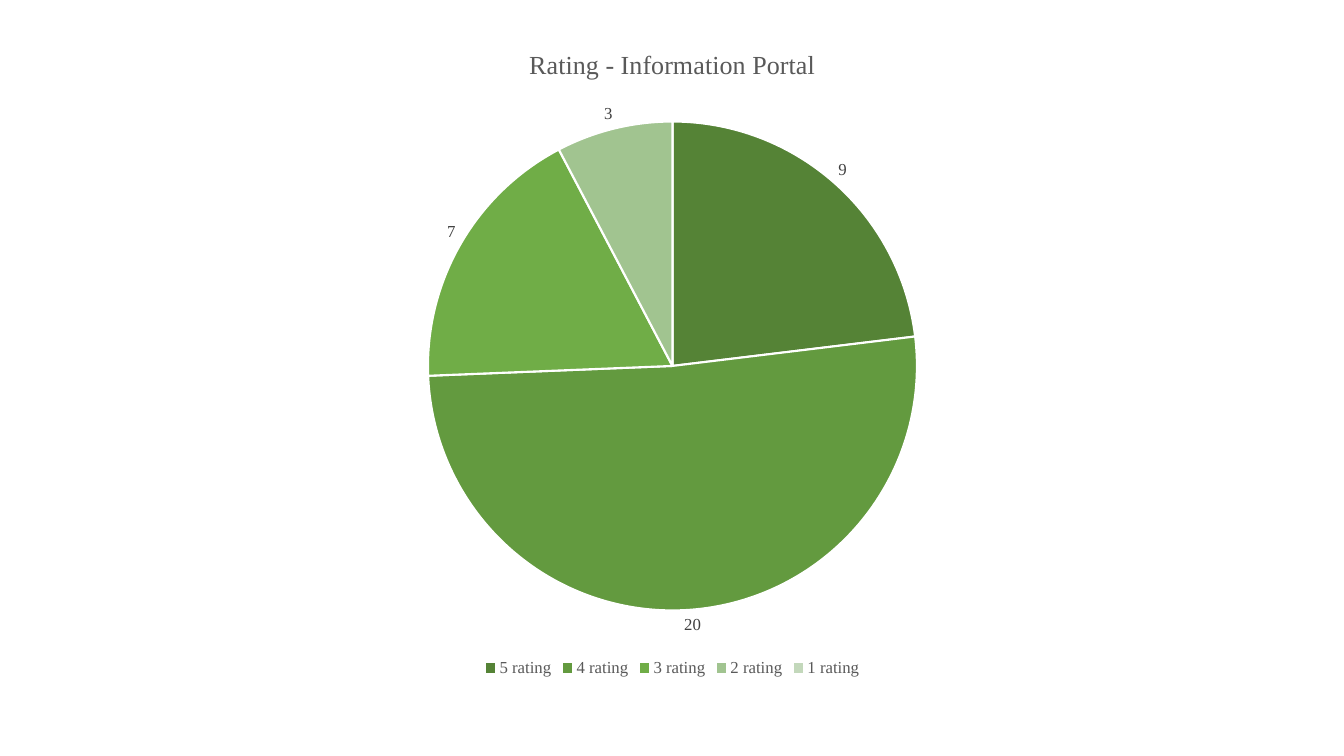
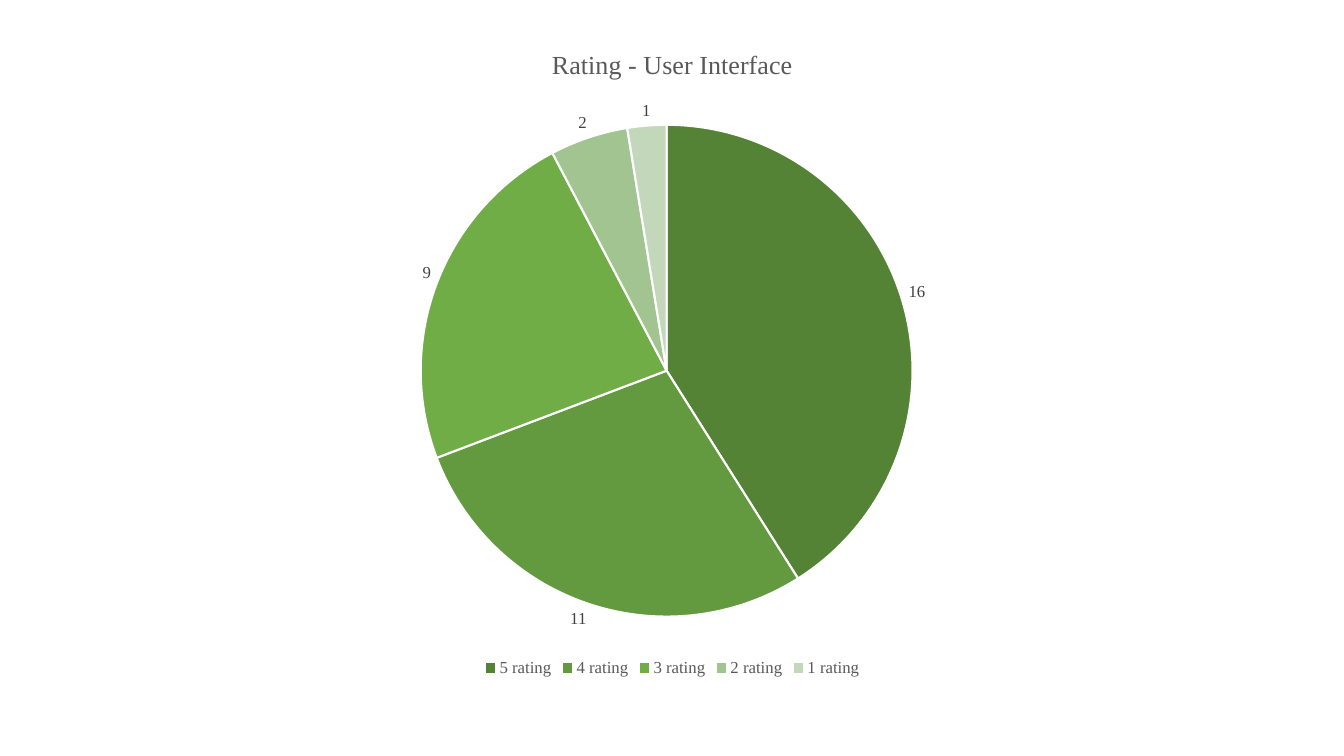
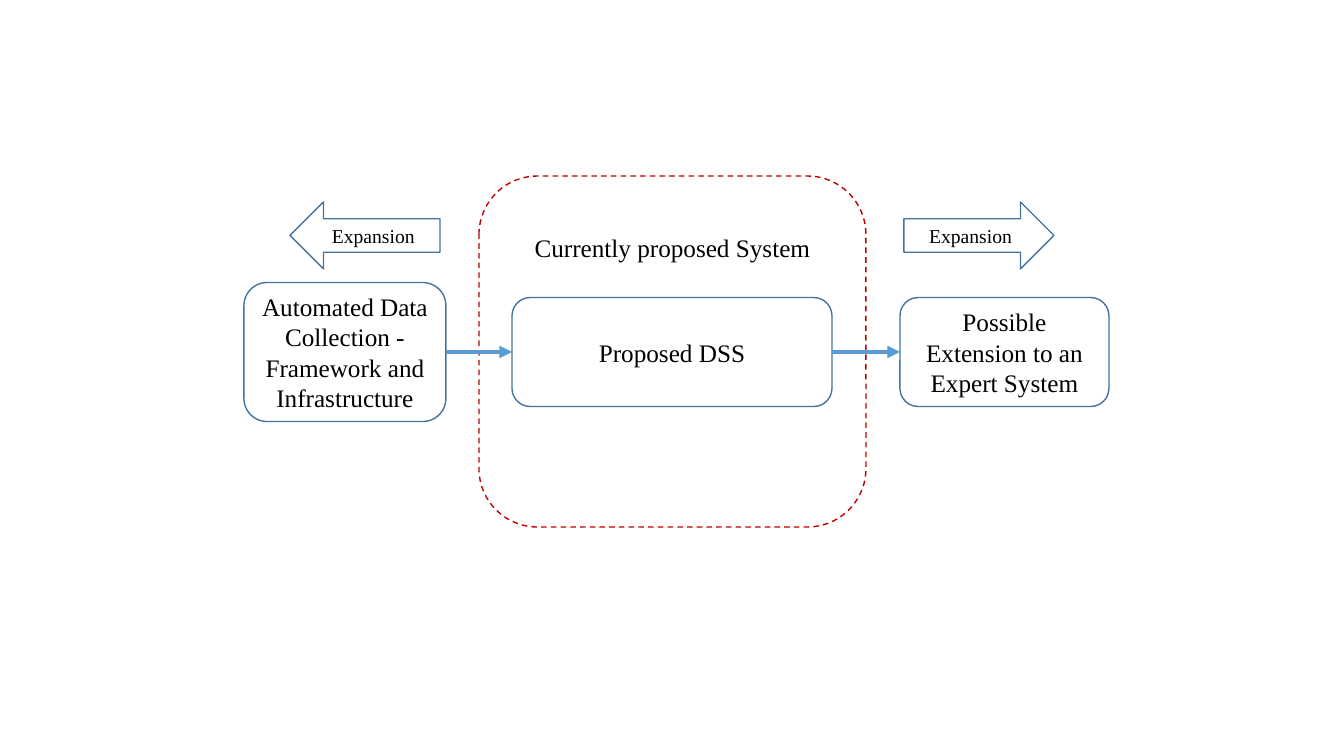
from lxml.etree import SubElement
from pptx import Presentation
from pptx.chart.data import CategoryChartData
from pptx.dml.color import RGBColor
from pptx.enum.chart import XL_CHART_TYPE, XL_LABEL_POSITION, XL_LEGEND_POSITION
from pptx.enum.dml import MSO_LINE
from pptx.enum.shapes import MSO_CONNECTOR, MSO_SHAPE
from pptx.enum.text import MSO_ANCHOR, PP_ALIGN
from pptx.oxml.ns import qn
from pptx.util import Emu, Pt

PX_PER_INCH = 100.8
FONT = "Times New Roman"
BLACK = RGBColor(0x00, 0x00, 0x00)
WHITE = RGBColor(0xFF, 0xFF, 0xFF)
TITLE_GREY = RGBColor(0x59, 0x59, 0x59)
LABEL_GREY = RGBColor(0x40, 0x40, 0x40)
BOX_BLUE = RGBColor(0x43, 0x73, 0x9E)
FLOW_BLUE = RGBColor(0x5B, 0x9B, 0xD5)
SCOPE_RED = RGBColor(0xC0, 0x00, 0x00)
RATING_COLORS = {
    "5 rating": RGBColor(0x55, 0x83, 0x36),
    "4 rating": RGBColor(0x63, 0x9A, 0x3F),
    "3 rating": RGBColor(0x70, 0xAD, 0x47),
    "2 rating": RGBColor(0xA1, 0xC4, 0x90),
    "1 rating": RGBColor(0xC3, 0xD8, 0xBB),
}
RATINGS = {
    "Rating - Information Portal": (9, 20, 7, 3, 0),
    "Rating - User Interface": (16, 11, 9, 2, 1),
}


def px(length):
    return Emu(round(length * 914400 / PX_PER_INCH))


def style_font(font, size, color):
    font.name = FONT
    font.size = Pt(size)
    font.bold = False
    font.color.rgb = color


def add_rating_pie(slide, title, votes, left, top, width, height):
    ratings = CategoryChartData()
    ratings.categories = list(RATING_COLORS)
    ratings.add_series(title, votes)
    chart = slide.shapes.add_chart(
        XL_CHART_TYPE.PIE, px(left), px(top), px(width), px(height), ratings
    ).chart
    style_font(chart.font, 10, BLACK)

    chart.has_title = True
    heading = chart.chart_title.text_frame
    heading.text = title
    style_font(heading.paragraphs[0].font, 18.6, TITLE_GREY)
    chart.chart_title.include_in_layout = False

    chart.has_legend = True
    chart.legend.position = XL_LEGEND_POSITION.BOTTOM
    chart.legend.include_in_layout = False
    style_font(chart.legend.font, 12, TITLE_GREY)

    pie = chart.plots[0]
    pie.vary_by_categories = True
    for index, color in enumerate(RATING_COLORS.values()):
        wedge = pie.series[0].points[index].format
        wedge.fill.solid()
        wedge.fill.fore_color.rgb = color
        wedge.line.color.rgb = WHITE
        wedge.line.width = Pt(1.5)

    labels = pie.series[0].data_labels
    labels.show_value = True
    labels.position = XL_LABEL_POSITION.OUTSIDE_END
    labels.number_format = "0;;;"
    labels.number_format_is_linked = False
    style_font(labels.font, 12, LABEL_GREY)


def add_outlined(slide, preset, text, left, top, width, height, size=18, color=BOX_BLUE):
    outlined = slide.shapes.add_shape(preset, px(left), px(top), px(width), px(height))
    outlined.shadow.inherit = False
    outlined.fill.background()
    outlined.line.color.rgb = color
    outlined.line.width = Pt(1)
    frame = outlined.text_frame
    frame.word_wrap = True
    frame.vertical_anchor = MSO_ANCHOR.MIDDLE
    frame.text = text
    caption = frame.paragraphs[0]
    caption.alignment = PP_ALIGN.CENTER
    style_font(caption.font, size, BLACK)
    return outlined


def add_flow(slide, source, target):
    flow = slide.shapes.add_connector(MSO_CONNECTOR.STRAIGHT, 0, 0, 0, 0)
    flow.begin_connect(source, 3)
    flow.end_connect(target, 1)
    flow.line.color.rgb = FLOW_BLUE
    flow.line.width = Pt(3)
    SubElement(flow.line._get_or_add_ln(), qn("a:tailEnd"), type="triangle")
    SubElement(flow._element.spPr, qn("a:effectLst"))


def add_expansion_diagram(slide, left, top):
    scope = add_outlined(
        slide, MSO_SHAPE.ROUNDED_RECTANGLE, "Currently proposed System",
        left + 235, top, 387, 351, color=SCOPE_RED,
    )
    scope.line.dash_style = MSO_LINE.DASH
    scope.text_frame.vertical_anchor = MSO_ANCHOR.TOP
    scope.text_frame.margin_top = px(39)

    stages = [
        add_outlined(
            slide, MSO_SHAPE.ROUNDED_RECTANGLE, text,
            left + offset, top + 176 - height / 2, width, height,
        )
        for text, offset, width, height in (
            ("Automated Data Collection - Framework and Infrastructure", 0, 202, 139),
            ("Proposed DSS", 268, 320, 109),
            ("Possible Extension to an Expert System", 656, 209, 109),
        )
    ]
    for source, target in zip(stages, stages[1:]):
        add_flow(slide, source, target)

    for preset, offset in ((MSO_SHAPE.LEFT_ARROW, 46), (MSO_SHAPE.RIGHT_ARROW, 660)):
        add_outlined(slide, preset, "Expansion", left + offset, top + 26, 150, 67, size=14)


def main():
    deck = Presentation()
    deck.slide_width, deck.slide_height = px(1344), px(756)
    blank = deck.slide_layouts[6]
    for title, votes in RATINGS.items():
        add_rating_pie(deck.slides.add_slide(blank), title, votes, 93, 25, 1159, 656)
    add_expansion_diagram(deck.slides.add_slide(blank), 244, 176)
    deck.save("out.pptx")


if __name__ == "__main__":
    main()
